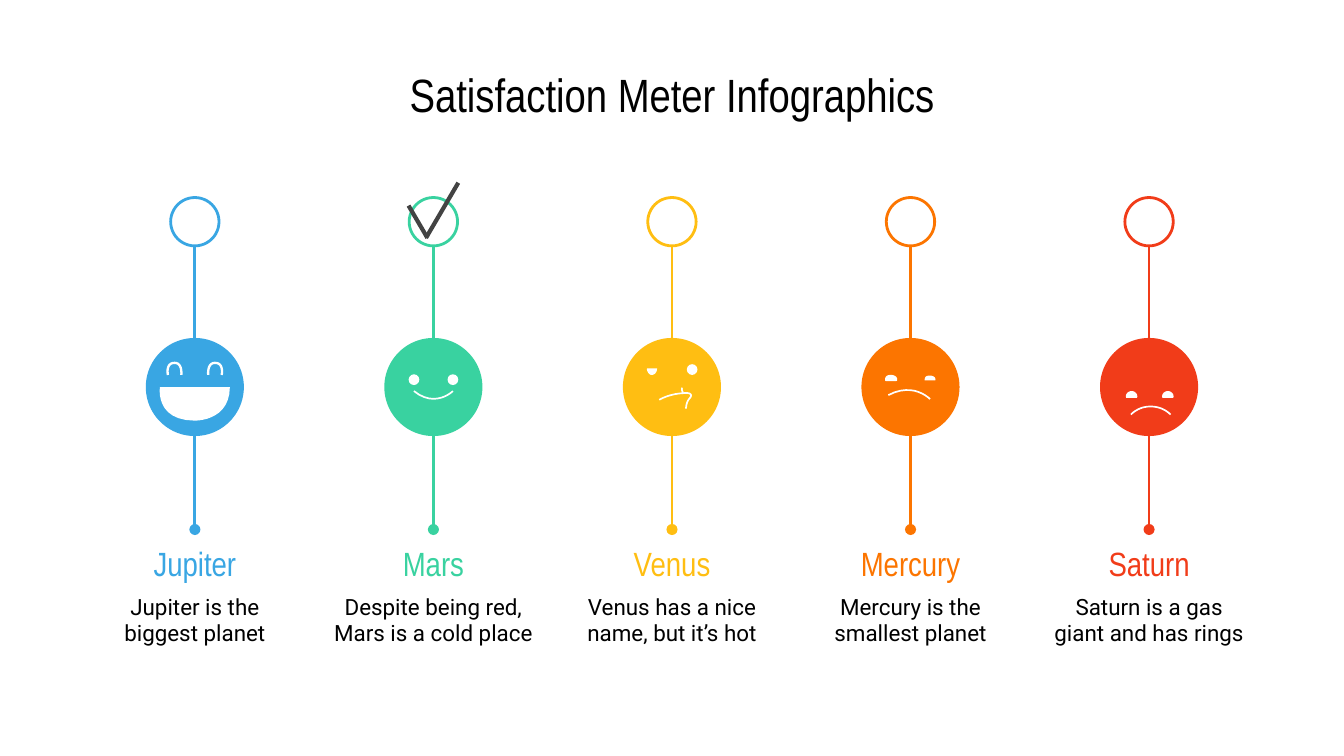
from lxml import etree
from pptx import Presentation
from pptx.dml.color import RGBColor
from pptx.enum.shapes import MSO_CONNECTOR as Conn, MSO_SHAPE as Shape
from pptx.enum.text import MSO_ANCHOR as Anchor, MSO_AUTO_SIZE as Fit, PP_ALIGN as Align
from pptx.oxml.ns import qn
from pptx.util import Inches, Pt


def paint(shape, fill=None, line=None, width=0):
    """Set fill and outline from hex strings; None means no paint."""
    shape.shadow.inherit = False
    if fill:
        shape.fill.solid()
        shape.fill.fore_color.rgb = RGBColor.from_string(fill)
    else:
        shape.fill.background()
    if line:
        shape.line.color.rgb = RGBColor.from_string(line)
        shape.line.width = Pt(width)
    else:
        shape.line.fill.background()


def write(shape, text, font, size, color):
    """Put one centred paragraph in a shape."""
    frame = shape.text_frame
    frame.text = text
    frame.word_wrap = True
    frame.auto_size = Fit.NONE
    frame.margin_left = frame.margin_right = Inches(0.1)
    frame.margin_top = frame.margin_bottom = Inches(0.1)
    para = frame.paragraphs[0]
    para.alignment = Align.CENTER
    run = para.runs[0]
    run.font.name = font
    run.font.size = Pt(size)
    run.font.color.rgb = RGBColor.from_string(color)


WHITE, BLACK, GRAY = "FFFFFF", "000000", "434343"
HEAD, BODY = "Arial Narrow", "Roboto"

# Face parts are in hundredths of an inch from the face centre.
# Dots: centres of round eyes.
# Curves: (filled, line width, start point and three Bezier points per arc).
arch = [(20, -9), (20, -9), (22, -18), (15, -18), (9, -18), (10, -9), (10, -9)]
lid = [(10.5, -5), (10.5, -8), (12, -8.5), (14.5, -8.5),
       (17, -8.5), (19, -7), (18.5, -5)]
dome = [(10, 8), (9, 6), (11, 3), (14, 3), (17, 3), (19, 6), (18, 8)]

planets = [
    ("Jupiter", "Jupiter is the biggest planet", "39A6E3", [], [
        (True, 0, [(26, 0), (26, 23), (5, 25), (0, 25),
                   (-30, 25), (-26, 0), (-26, 0)]),
        (False, 1.25, arch),
        (False, 1.25, [(-x, y) for x, y in arch])]),
    ("Mars", "Despite being red, Mars is a cold place", "39D2A0",
     [(-14.5, -5.5), (14.5, -5.5)], [
        (False, 0.9, [(14.5, 3), (14.5, 3), (1.5, 16), (-14.5, 3)])]),
    ("Venus", "Venus has a nice name, but it’s hot", "FFBE12", [(15, -13)], [
        (True, 0, [(-18.5, -14), (-19, -12), (-17, -9), (-15, -9),
                   (-13, -9), (-11, -11), (-11, -14)]),
        (False, 0.9, [(-9.5, 9.5), (-3, 6), (4, 4.5), (11, 4.5),
                      (14, 4.5), (15, 6), (13.5, 8), (11.5, 10), (10.5, 13), (10.5, 16)]),
        (False, 0.9, [(7.5, 0.5), (7, 2), (8, 4), (8.5, 5)])]),
    ("Mercury", "Mercury is the smallest planet", "FC7500", [], [
        (True, 0, lid),
        (True, 0.75, [(x - 29, y) for x, y in lid]),
        (False, 0.9, [(14.5, 9), (14.5, 9), (2.5, -4), (-16.5, 6)])]),
    ("Saturn", "Saturn is a gas giant and has rings", "F13C19", [], [
        (True, 0, dome),
        (True, 0, [(x - 27, y) for x, y in dome]),
        (False, 0.9, [(-13.5, 20.5), (-13, 20), (-8, 14.5), (1, 14.5),
                      (5, 14.5), (11, 15.5), (16, 20.5)])]),
]

# A 16:9 slide
deck = Presentation()
deck.slide_width = Inches(10)
deck.slide_height = deck.slide_width * 9 // 16
slide = deck.slides.add_slide(deck.slide_layouts[5])

# Title
title = slide.shapes.title
title.left, title.top = Inches(0.5), Inches(0.45)
title.width, title.height = Inches(9), Inches(0.5)
write(title, "Satisfaction Meter Infographics", HEAD, 25, BLACK)
title.text_frame.vertical_anchor = Anchor.MIDDLE

# Straight lines: group, ends, colour, width, dot at the end
first, pitch, level, steps = 1.45, 1.775, 2.88, 12
groups = [slide.shapes.add_group_shape().shapes for _ in range(len(planets) + 1)]
lines = [(groups[i], first + i * pitch, 1.83, first + i * pitch, 3.94, row[2], 1.5, True)
         for i, row in enumerate(planets)]
lines += [(groups[-1], 3.04, 1.53, 3.18, 1.77, GRAY, 2.25, False),
          (groups[-1], 3.17, 1.77, 3.41, 1.36, GRAY, 2.25, False)]
for group, x1, y1, x2, y2, color, width, dot in lines:
    line = group.add_connector(Conn.STRAIGHT, Inches(x1), Inches(y1), Inches(x2), Inches(y2))
    line.line.color.rgb = RGBColor.from_string(color)
    line.line.width = Pt(width)
    if dot:
        etree.SubElement(line.line._get_or_add_ln(), qn("a:tailEnd"), type="oval")
    etree.SubElement(line._element.spPr, qn("a:effectLst"))

# One column per planet
for i, (name, note, color, dots, curves) in enumerate(planets):
    group, mid = groups[i], first + i * pitch

    # Ring, face and round eyes
    rounds = [(mid, 1.65, 0.36, None, color), (mid, level, 0.73, color, None)]
    rounds += [(mid + x / 100, level + y / 100, 0.08, WHITE, None) for x, y in dots]
    for x, y, size, fill, edge in rounds:
        disc = group.add_shape(Shape.OVAL, Inches(x - size / 2), Inches(y - size / 2),
                               Inches(size), Inches(size))
        paint(disc, fill, edge, 1.5)

    # Eyes and mouth drawn as curves
    for solid, width, points in curves:
        trace = [points[0]]
        for k in range(0, len(points) - 1, 3):
            arc = points[k:k + 4]
            for t in [n / steps for n in range(1, steps + 1)]:
                mix = ((1 - t) ** 3, 3 * t * (1 - t) ** 2, 3 * t * t * (1 - t), t ** 3)
                trace.append([sum(m * p[axis] for m, p in zip(mix, arc)) for axis in (0, 1)])
        trace = [(Inches(mid + x / 100), Inches(level + y / 100)) for x, y in trace]
        pen = group.build_freeform(*trace[0])
        pen.add_line_segments(trace[1:], close=solid)
        paint(pen.convert_to_shape(), WHITE if solid else None, WHITE if width else None, width)

    # Name and note
    for top, high, text, font, size, ink in [(3.94, 0.36, name, HEAD, 18, color),
                                             (4.31, 0.55, note, BODY, 12, BLACK)]:
        box = group.add_textbox(Inches(mid - 0.845), Inches(top), Inches(1.69), Inches(high))
        write(box, text, font, size, ink)

deck.save("out.pptx")
